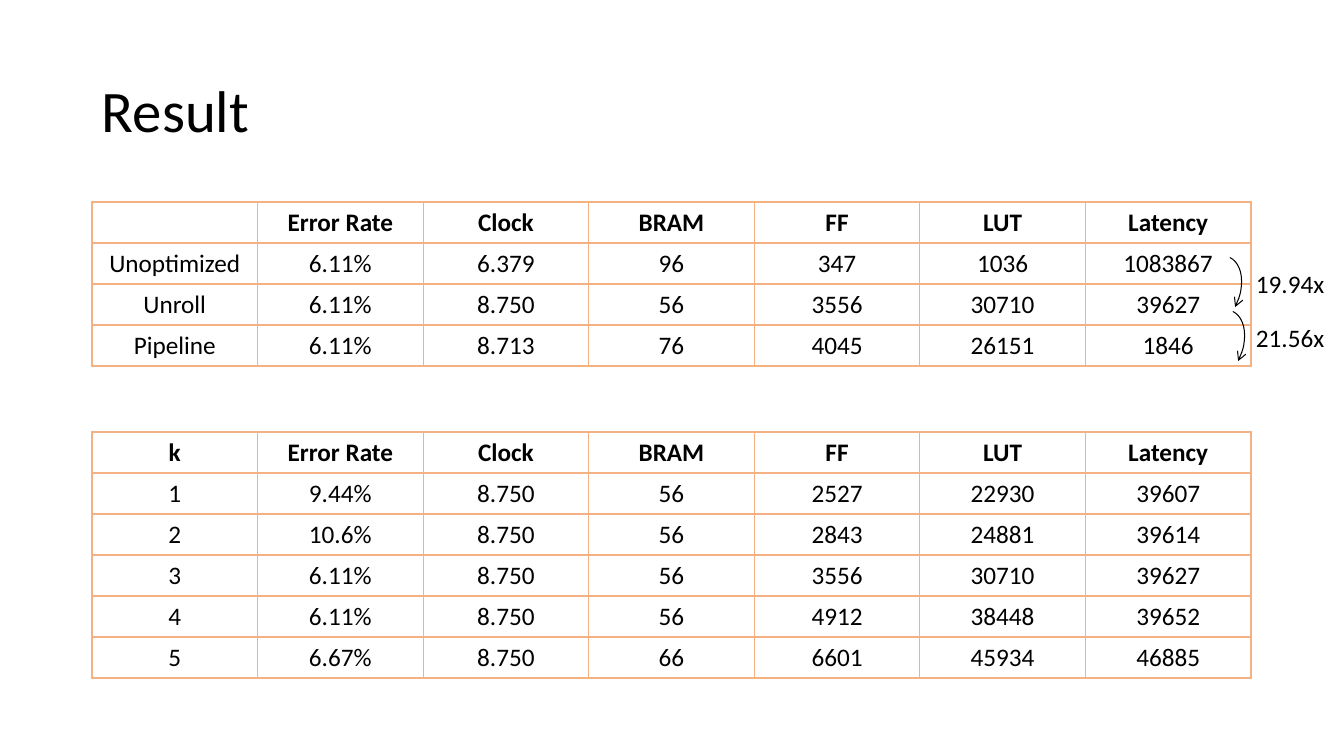
import dataclasses

import pptx
import pptx.dml.color
import pptx.enum.shapes
import pptx.enum.text
import pptx.oxml
import pptx.oxml.ns
import pptx.util


@dataclasses.dataclass(frozen=True)
class Theme:
    """Colours, font and point sizes of the slide."""
    ink: str = "000000"
    rule: str = "F4B183"
    font: str = "Calibri"
    head: int = 42
    body: int = 18
    edge: float = 1
    thin: float = 0.75


theme = Theme()
SCALE = 12192000 / 1344
Color = pptx.dml.color.RGBColor.from_string
Align = pptx.enum.text.PP_ALIGN
Anchor = pptx.enum.text.MSO_ANCHOR


def px(*sizes):
    """Turn pixels into a list of EMU lengths."""
    return [pptx.util.Emu(round(size * SCALE)) for size in sizes]


def write(frame, text, size=theme.body, bold=False, align=Align.LEFT,
          anchor=Anchor.TOP, space=1.0, wrap=True):
    """Put one formatted line of text into a text frame."""
    frame.word_wrap = wrap
    frame.vertical_anchor = anchor
    line = frame.paragraphs[0]
    line.alignment = align
    line.line_spacing = space
    run = line.add_run()
    run.text = text
    run.font.name = theme.font
    run.font.size = pptx.util.Pt(size)
    run.font.bold = bold
    run.font.color.rgb = Color(theme.ink)


deck = pptx.Presentation()
deck.slide_width, deck.slide_height = px(1344, 756)
slide = deck.slides.add_slide(deck.slide_layouts[6])
shapes = slide.shapes

title = shapes.add_textbox(*px(92, 40, 1159, 146))
write(title.text_frame, "Result", size=theme.head, anchor=Anchor.MIDDLE, space=0.9)

# Result tables
fields = ["Error Rate", "Clock", "BRAM", "FF", "LUT", "Latency"]
modes = [
    ["", *fields],
    ["Unoptimized", "6.11%", "6.379", "96", "347", "1036", "1083867"],
    ["Unroll", "6.11%", "8.750", "56", "3556", "30710", "39627"],
    ["Pipeline", "6.11%", "8.713", "76", "4045", "26151", "1846"],
]
counts = [
    ["k", *fields],
    ["1", "9.44%", "8.750", "56", "2527", "22930", "39607"],
    ["2", "10.6%", "8.750", "56", "2843", "24881", "39614"],
    ["3", "6.11%", "8.750", "56", "3556", "30710", "39627"],
    ["4", "6.11%", "8.750", "56", "4912", "38448", "39652"],
    ["5", "6.67%", "8.750", "66", "6601", "45934", "46885"],
]
space = pptx.oxml.ns.nsdecls("a")
width = pptx.util.Pt(theme.edge)

for top, rows in [(202, modes), (432, counts)]:
    box = px(92, top, 1159, 41 * len(rows))
    table = shapes.add_table(len(rows), len(rows[0]), *box).table
    table.first_row = table.horz_banding = False
    for r, row in enumerate(rows):
        for c, text in enumerate(row):
            cell = table.cell(r, c)
            props = cell._tc.get_or_add_tcPr()
            for side in "LRTB":
                props.append(pptx.oxml.parse_xml(
                    f'<a:ln{side} {space} w="{width}"><a:solidFill>'
                    f'<a:srgbClr val="{theme.rule}"/></a:solidFill></a:ln{side}>'))
            cell.fill.background()
            if text:
                write(cell.text_frame, text, bold=r == 0, align=Align.CENTER)

# Speedup labels and the curved arrows beside them
gains = ["19.94x", "21.56x"]
for i, gain in enumerate(gains):
    label = shapes.add_textbox(*px(1246, 263 + 54 * i, 98, 40))
    write(label.text_frame, gain, wrap=False)

for i in range(len(gains)):
    arc = shapes.add_shape(pptx.enum.shapes.MSO_SHAPE.ARC,
                           *px(1184 + 3 * i, 253 + 54 * i, 54, 84))
    arc.rotation = 26.7
    arc.shadow.inherit = False
    arc.fill.background()
    arc.line.color.rgb = Color(theme.ink)
    arc.line.width = pptx.util.Pt(theme.thin)
    arc.line._get_or_add_ln().append(
        pptx.oxml.parse_xml(f'<a:tailEnd {space} type="arrow"/>'))

deck.save("out.pptx")
